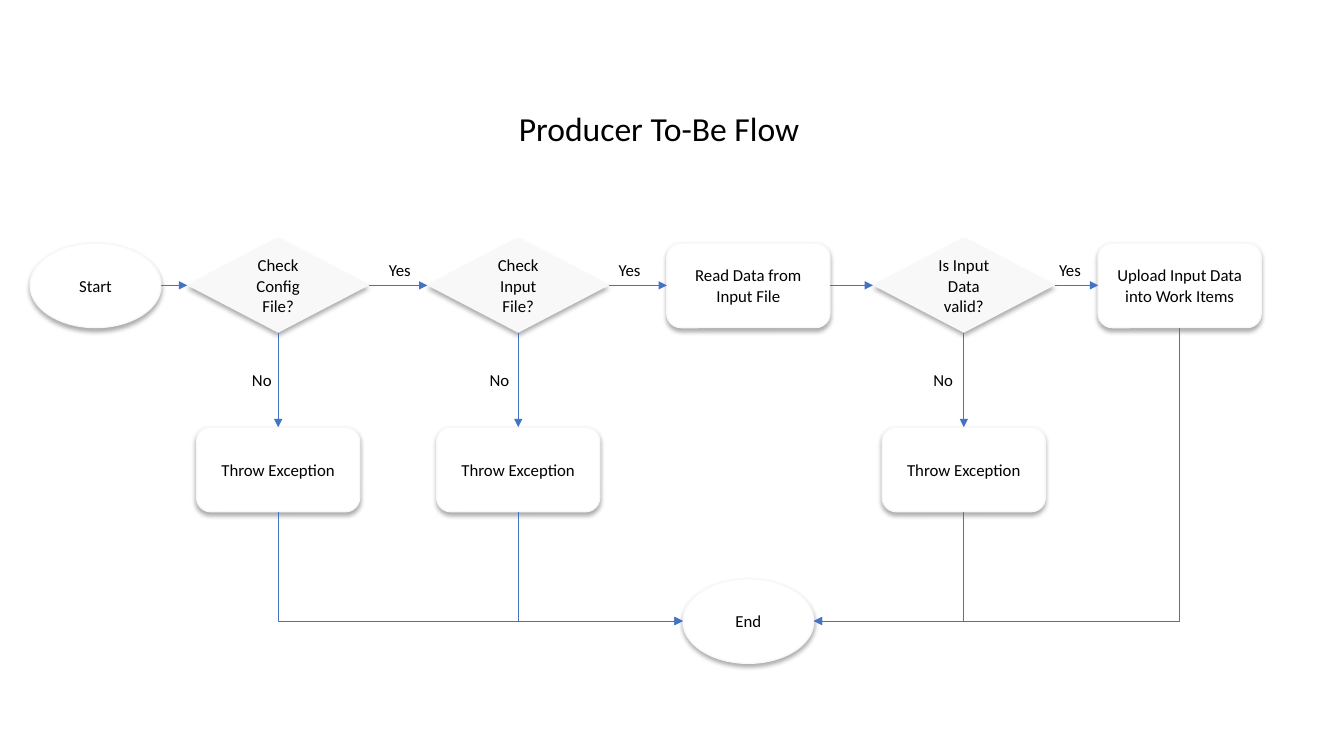
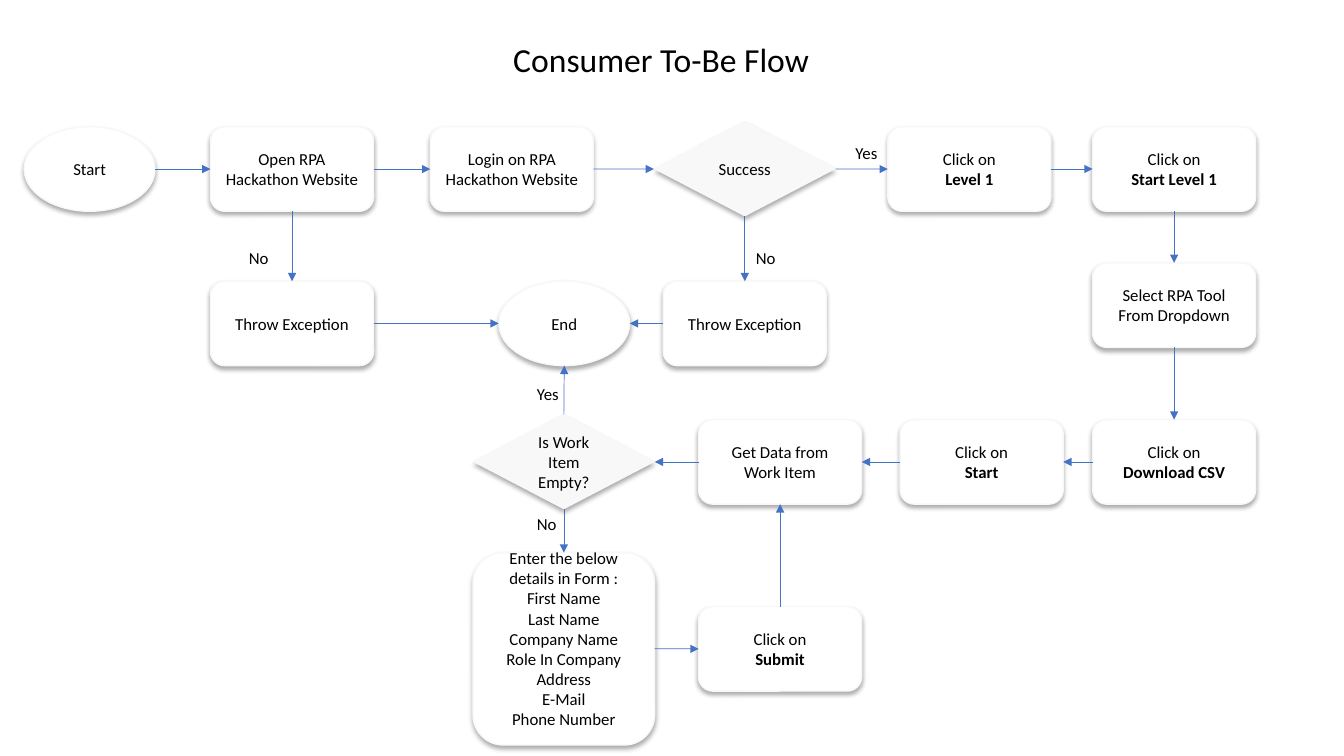
import pptx
import pptx.util
import pptx.dml.color
import pptx.enum.shapes
import pptx.enum.text
import pptx.oxml
from dataclasses import dataclass

Cm = pptx.util.Cm
Pt = pptx.util.Pt
Preset = pptx.enum.shapes.MSO_SHAPE
Link = pptx.enum.shapes.MSO_CONNECTOR
Align = pptx.enum.text.PP_ALIGN


@dataclass(frozen=True)
class Theme:
    font: str = "Calibri"
    ink: str = "000000"
    paper: str = "FFFFFF"
    mist: str = "F8F8F8"
    arrow: str = "4472C4"
    title_size: int = 24
    body_size: int = 12
    outline: float = 1
    arrow_width: float = 0.5


theme = Theme()

KINDS = {
    "oval": (Preset.OVAL, 3.3, 2.13),
    "step": (Preset.ROUNDED_RECTANGLE, 4.11, 2.13),
    "click": (Preset.ROUNDED_RECTANGLE, 4.11, 2.13),
    "decision": (Preset.FLOWCHART_DECISION, 4.58, 2.39),
    "form": (Preset.ROUNDED_RECTANGLE, 4.58, 4.85),
}
SIDES = {"top": (0, 0, -0.5), "left": (1, -0.5, 0),
         "bottom": (2, 0, 0.5), "right": (3, 0.5, 0)}
TITLE_BOX = (11.23, 1.27)
LABEL_BOX = (1.37, 0.76)
FORM_BOTTOM_INSET = 0.64

FORM_TEXT = "\n".join([
    "Enter the below details in Form :", "First Name", "Last Name", "Company Name",
    "Role In Company", "Address", "E-Mail", "Phone Number"])

PRODUCER = {
    "title": ("Producer To-Be Flow", 16.61, 2.59),
    "nodes": {
        "start": ("oval", 2.41, 7.19, "Start"),
        "config": ("decision", 7.01, 7.19, "Check Config File?"),
        "input": ("decision", 13.06, 7.19, "Check Input File?"),
        "read": ("step", 18.86, 7.19, "Read Data from Input File"),
        "valid": ("decision", 24.29, 7.19, "Is Input Data valid?"),
        "upload": ("step", 29.73, 7.19, "Upload Input Data into Work Items"),
        "no config": ("step", 7.01, 11.83, "Throw Exception"),
        "no input": ("step", 13.06, 11.83, "Throw Exception"),
        "not valid": ("step", 24.29, 11.83, "Throw Exception"),
        "end": ("oval", 18.86, 15.65, "End"),
    },
    "arrows": [
        ("start", "right", "config", "left"),
        ("config", "right", "input", "left"),
        ("input", "right", "read", "left"),
        ("read", "right", "valid", "left"),
        ("valid", "right", "upload", "left"),
        ("config", "bottom", "no config", "top"),
        ("input", "bottom", "no input", "top"),
        ("valid", "bottom", "not valid", "top"),
        ("no config", "bottom", "end", "left"),
        ("no input", "bottom", "end", "left"),
        ("not valid", "bottom", "end", "right"),
        ("upload", "bottom", "end", "right"),
    ],
    "labels": [
        ("Yes", 9.55, 6.43), ("Yes", 15.34, 6.43), ("Yes", 26.44, 6.43),
        ("No", 6.1, 9.19), ("No", 12.09, 9.19), ("No", 23.27, 9.19),
    ],
}

CONSUMER = {
    "title": ("Consumer To-Be Flow", 16.66, 0.86),
    "nodes": {
        "start": ("oval", 2.26, 4.26, "Start"),
        "open": ("step", 7.36, 4.26, "Open RPA Hackathon Website"),
        "login": ("step", 12.9, 4.26, "Login on RPA Hackathon Website"),
        "success": ("decision", 18.77, 4.26, "Success"),
        "level": ("click", 24.43, 4.26, "Click on\nLevel 1"),
        "start level": ("click", 29.59, 4.26, "Click on\nStart Level 1"),
        "not open": ("step", 7.36, 8.15, "Throw Exception"),
        "no success": ("step", 18.77, 8.15, "Throw Exception"),
        "end": ("oval", 14.22, 8.15, "End"),
        "tool": ("step", 29.59, 7.69, "Select RPA Tool From Dropdown"),
        "download": ("click", 29.59, 11.64, "Click on\nDownload CSV"),
        "click start": ("click", 24.74, 11.64, "Click on\nStart"),
        "get data": ("step", 19.66, 11.64, "Get Data from Work Item"),
        "empty": ("decision", 14.21, 11.64, "Is Work Item Empty?"),
        "details": ("form", 14.21, 16.35, FORM_TEXT),
        "submit": ("click", 19.66, 16.35, "Click on\nSubmit"),
    },
    "arrows": [
        ("start", "right", "open", "left"),
        ("open", "right", "login", "left"),
        ("login", "right", "success", "left"),
        ("success", "right", "level", "left"),
        ("level", "right", "start level", "left"),
        ("open", "bottom", "not open", "top"),
        ("success", "bottom", "no success", "top"),
        ("not open", "right", "end", "left"),
        ("no success", "left", "end", "right"),
        ("start level", "bottom", "tool", "top"),
        ("tool", "bottom", "download", "top"),
        ("download", "left", "click start", "right"),
        ("click start", "left", "get data", "right"),
        ("get data", "left", "empty", "right"),
        ("empty", "top", "end", "bottom"),
        ("empty", "bottom", "details", "top"),
        ("details", "right", "submit", "left"),
        ("submit", "top", "get data", "bottom"),
    ],
    "labels": [
        ("No", 6.02, 6.12), ("No", 18.8, 6.12), ("Yes", 21.31, 3.48),
        ("Yes", 13.28, 9.55), ("No", 13.28, 12.83),
    ],
}


def colour(code):
    return pptx.dml.color.RGBColor.from_string(code)


def drawing_xml(markup):
    namespace = "http://schemas.openxmlformats.org/drawingml/2006/main"
    head, tail = markup.split(" ", 1)
    return pptx.oxml.parse_xml(f'{head} xmlns:a="{namespace}" {tail}')


def write(frame, text, size, align, bold_last=False):
    frame.word_wrap = True
    frame.text = text
    for paragraph in frame.paragraphs:
        paragraph.alignment = align
        for run in paragraph.runs:
            run.font.name = theme.font
            run.font.size = Pt(size)
            run.font.color.rgb = colour(theme.ink)
    if bold_last:
        frame.paragraphs[-1].runs[0].font.bold = True


def add_text(slide, text, left, top, box, size, align):
    width, height = box
    caption = slide.shapes.add_textbox(Cm(left), Cm(top), Cm(width), Cm(height))
    write(caption.text_frame, text, size, align)


def add_node(slide, kind, centre_x, centre_y, text):
    preset, width, height = KINDS[kind]
    node = slide.shapes.add_shape(preset, Cm(centre_x - width / 2),
                                  Cm(centre_y - height / 2), Cm(width), Cm(height))
    node.fill.solid()
    if kind == "decision":
        node.fill.fore_color.rgb = colour(theme.mist)
        node.line.fill.background()
    else:
        node.fill.fore_color.rgb = colour(theme.paper)
        node.line.color.rgb = colour(theme.mist)
        node.line.width = Pt(theme.outline)
    node.shadow.inherit = False
    effects = node._element.spPr.find(pptx.oxml.ns.qn("a:effectLst"))
    effects.append(drawing_xml(
        f'<a:outerShdw blurRad="{Pt(3.5)}" dist="{Pt(2.2)}" dir="5400000" rotWithShape="0">'
        f'<a:srgbClr val="{theme.ink}"><a:alpha val="32000"/></a:srgbClr></a:outerShdw>'))
    node.text_frame.vertical_anchor = pptx.enum.text.MSO_ANCHOR.MIDDLE
    write(node.text_frame, text, theme.body_size, Align.CENTER, kind == "click")
    if kind == "form":
        node.text_frame.margin_bottom = Cm(FORM_BOTTOM_INSET)
    return node


def port(node, side):
    _, across, down = SIDES[side]
    return (round(node.left + node.width * (0.5 + across)),
            round(node.top + node.height * (0.5 + down)))


def add_arrow(slide, source, source_side, target, target_side):
    vertical = ("top", "bottom")
    bent = (source_side in vertical) != (target_side in vertical)
    begin, end = port(source, source_side), port(target, target_side)
    if bent:
        arrow = slide.shapes.add_connector(Link.ELBOW, *end, *begin)
        properties = arrow._element.spPr
        properties.find(pptx.oxml.ns.qn("a:prstGeom")).set("prst", "bentConnector2")
    else:
        arrow = slide.shapes.add_connector(Link.STRAIGHT, *begin, *end)
        properties = arrow._element.spPr
        if source.auto_shape_type != Preset.OVAL:
            arrow.begin_connect(source, SIDES[source_side][0])
        if target.auto_shape_type != Preset.OVAL:
            arrow.end_connect(target, SIDES[target_side][0])
    arrow.line.color.rgb = colour(theme.arrow)
    arrow.line.width = Pt(theme.arrow_width)
    tip = "headEnd" if bent else "tailEnd"
    arrow.line._get_or_add_ln().append(drawing_xml(f'<a:{tip} type="triangle"/>'))
    properties.append(drawing_xml("<a:effectLst />"))


def add_flow(deck, flow):
    slide = deck.slides.add_slide(deck.slide_layouts[6])
    title, centre_x, top = flow["title"]
    add_text(slide, title, centre_x - TITLE_BOX[0] / 2, top, TITLE_BOX,
             theme.title_size, Align.CENTER)
    nodes = {key: add_node(slide, *node) for key, node in flow["nodes"].items()}
    for source, source_side, target, target_side in flow["arrows"]:
        add_arrow(slide, nodes[source], source_side, nodes[target], target_side)
    for answer, left, top in flow["labels"]:
        add_text(slide, answer, left, top, LABEL_BOX, theme.body_size, Align.LEFT)


deck = pptx.Presentation()
deck.slide_width, deck.slide_height = Cm(33.87), Cm(19.05)
for flow in (PRODUCER, CONSUMER):
    add_flow(deck, flow)
deck.save("out.pptx")
